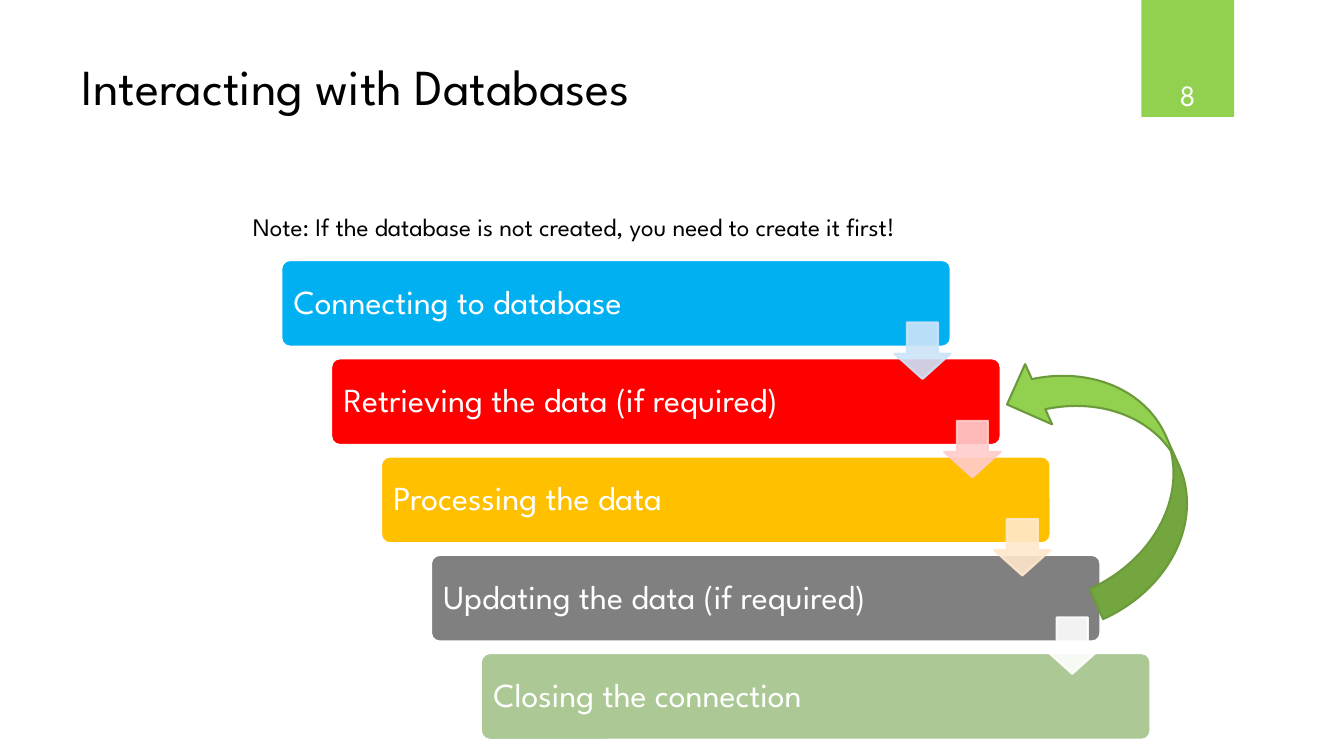
from dataclasses import dataclass

from lxml.etree import SubElement
from pptx import Presentation
from pptx.dml.color import RGBColor
from pptx.enum.shapes import MSO_SHAPE as SHAPE
from pptx.enum.text import MSO_ANCHOR as ANCHOR, PP_ALIGN as ALIGN
from pptx.oxml.ns import qn
from pptx.util import Inches, Pt


@dataclass(frozen=True)
class Theme:
    font: str = "League Spartan"
    title: int = 36
    step: int = 24
    number: int = 21
    note: int = 18
    outline: float = 1.5
    ink: str = "000000"
    paper: str = "FFFFFF"
    accent: str = "92D050"
    accent_edge: str = "6C9A3B"


THEME = Theme()

STEPS = [
    ("Connecting to database", "00B0F0", "CCE4F9"),
    ("Retrieving the data (if required)", "FF0000", "FFCCCC"),
    ("Processing the data", "FFC000", "FFE8CC"),
    ("Updating the data (if required)", "808080", "FFFFFF"),
    ("Closing the connection", "ACC995", None),
]


def add_shape(s, kind, box, fill, line=None):
    sp = s.shapes.add_shape(kind, *map(Inches, box))
    sp.shadow.inherit = False
    sp.fill.solid()
    sp.fill.fore_color.rgb = RGBColor.from_string(fill)
    if line:
        sp.line.color.rgb = RGBColor.from_string(line)
        sp.line.width = Pt(THEME.outline)
    else:
        sp.line.fill.background()
    return sp


def set_opacity(sp, percent):
    for clr in sp.element.spPr.iter(qn("a:srgbClr")):
        SubElement(clr, qn("a:alpha")).set("val", str(percent * 1000))


def write(sp, text, size, color, anchor=ANCHOR.TOP, align=ALIGN.LEFT, wrap=True):
    tf = sp.text_frame
    tf.word_wrap = wrap
    tf.vertical_anchor = anchor
    p = tf.paragraphs[0]
    p.alignment = align
    r = p.add_run()
    r.text = text
    r.font.name = THEME.font
    r.font.size = Pt(size)
    r.font.color.rgb = RGBColor.from_string(color)
    return tf


def place_title(s, box, text):
    sp = s.shapes.title
    sp.left, sp.top, sp.width, sp.height = map(Inches, box)
    write(sp, text, THEME.title, THEME.ink)


def add_page_tag(s, box, number):
    sp = add_shape(s, SHAPE.RECTANGLE, box, THEME.accent)
    write(sp, number, THEME.number, THEME.paper, ANCHOR.BOTTOM, ALIGN.CENTER)


def add_note(s, box, text):
    sp = s.shapes.add_textbox(*map(Inches, box))
    write(sp, text, THEME.note, THEME.ink, wrap=False)


def add_cascade(s, box, steps):
    left, top, width, height = box
    bar_w, bar_h, arrow, arrow_drop = 6.64, 0.86, 0.56, 0.62
    gaps = len(steps) - 1
    dx, dy = (width - bar_w) / gaps, (height - bar_h) / gaps
    corners = [(left + i * dx, top + i * dy) for i in range(len(steps))]

    for (x, y), (text, fill, _) in zip(corners, steps):
        bar = add_shape(s, SHAPE.ROUNDED_RECTANGLE, (x, y, bar_w, bar_h), fill, THEME.paper)
        bar.adjustments[0] = 0.1
        tf = write(bar, text, THEME.step, THEME.paper, ANCHOR.MIDDLE)
        tf.paragraphs[0].line_spacing = 0.9

    for (x, y), (_, _, tint) in zip(corners[:-1], steps):
        place = (x + bar_w - arrow, y + arrow_drop, arrow, arrow)
        down = add_shape(s, SHAPE.DOWN_ARROW, place, tint, tint)
        down.adjustments[0] = 0.45
        down.adjustments[0], down.adjustments[1] = 0.55, 0.45
        set_opacity(down, 90)


def add_loop_arrow(s, box):
    sp = add_shape(s, SHAPE.CURVED_RIGHT_ARROW, box, THEME.accent, THEME.accent_edge)
    sp.rotation = 155.9


def build_slide(prs):
    s = prs.slides.add_slide(prs.slide_layouts[5])
    place_title(s, (0.71, 0.5, 10.29, 1.53), "Interacting with Databases")
    add_cascade(s, (2.79, 2.58, 8.62, 4.76), STEPS)
    add_page_tag(s, (11.32, 0, 0.92, 1.16), "8")
    add_loop_arrow(s, (10.34, 3.33, 1.31, 2.66))
    add_note(s, (2.41, 2.05, 7.88, 0.4),
             "Note: If the database is not created, you need to create it first!")


prs = Presentation()
prs.slide_width, prs.slide_height = Inches(13.33), Inches(7.5)
build_slide(prs)
prs.save("out.pptx")
